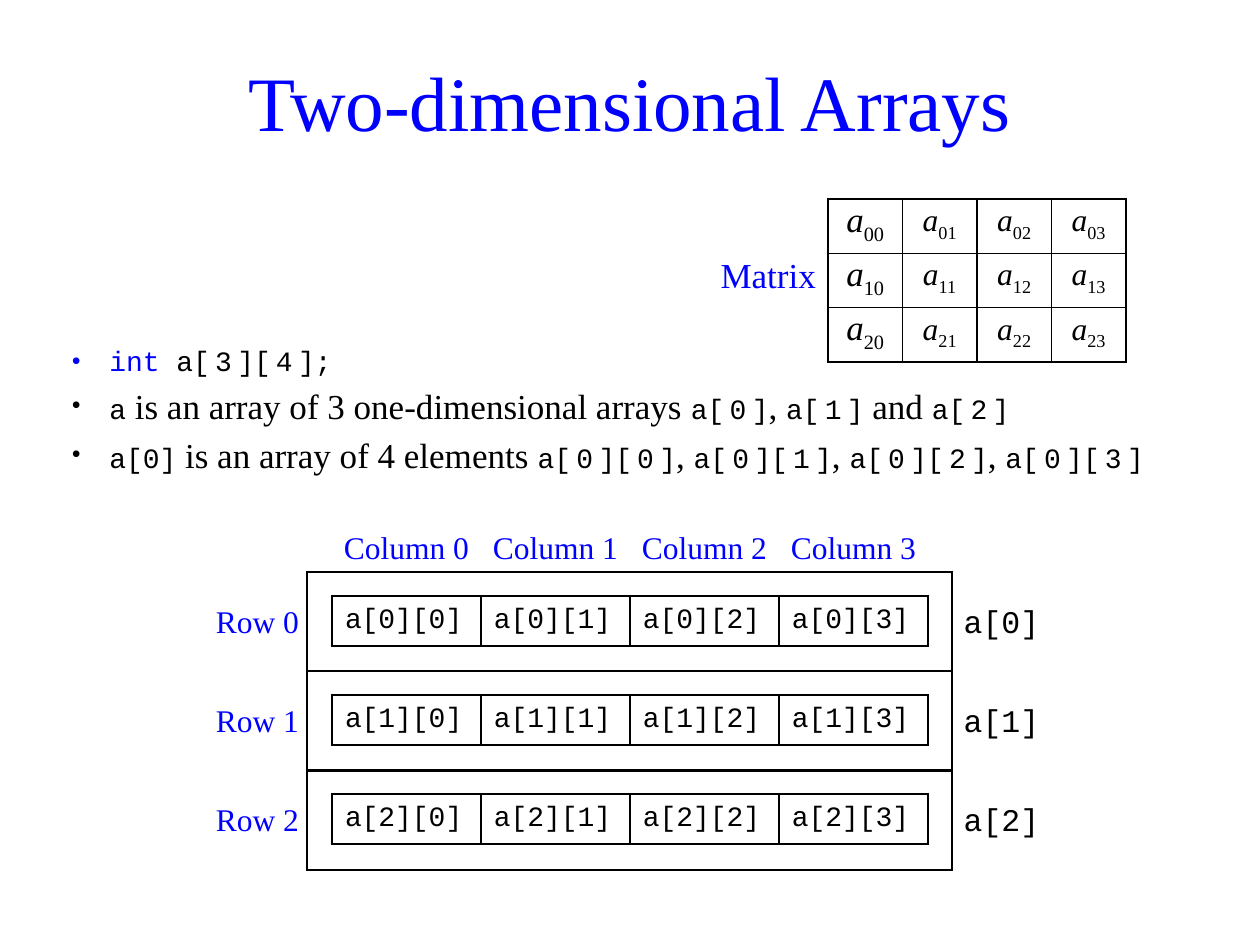
"""Build a slide that explains two-dimensional arrays."""
from lxml import etree
from pptx import Presentation
from pptx.dml.color import RGBColor
from pptx.enum.text import MSO_ANCHOR, PP_ALIGN
from pptx.oxml.ns import qn
from pptx.util import Pt

PX = 914400 / 126
LEFT, MID, RIGHT = PP_ALIGN.LEFT, PP_ALIGN.CENTER, PP_ALIGN.RIGHT
CENTRE, TOP = MSO_ANCHOR.MIDDLE, MSO_ANCHOR.TOP
SERIF, MONO = "Times New Roman", "Courier New"
HUES = {"ink": "000000", "blue": "0000FF"}
ROWS, COLS = 3, 4
PITCH, WIDE, HIGH = 99, 149, 50
GRID_X, GRID_Y = 332, 596


def px(n):
    return round(n * PX)


def run(text, size, font=SERIF, hue="ink", slant=False, **attrs):
    return text, size, font, hue, slant, attrs


def code(name, *nums):
    runs = [run(name, 16, MONO)]
    for num in nums:
        runs += [run(f"[{num}", 16, MONO, spc="300"), run("]", 16, MONO)]
    return runs


def write(para, runs, align=LEFT, space=0):
    para.alignment = align
    if space:
        gap = etree.SubElement(para._p.get_or_add_pPr(), qn("a:spcBef"))
        etree.SubElement(gap, qn("a:spcPct"), val=str(space * 1000))
    for text, size, font, hue, slant, attrs in runs:
        part = para.add_run()
        part.text = text
        part.font.size = Pt(size)
        part.font.name = font
        part.font.italic = slant
        part.font.color.rgb = RGBColor.from_string(HUES[hue])
        for key, val in attrs.items():
            part.font._element.set(key, val)


def inset(area, x, top, base):
    area.margin_left = area.margin_right = px(x)
    area.margin_top, area.margin_bottom = px(top), px(base)


def add_box(slide, x, y, w, h, anchor=CENTRE, wrap=True):
    frame = slide.shapes.add_textbox(px(x), px(y), px(w), px(h)).text_frame
    frame.word_wrap = wrap
    frame.vertical_anchor = anchor
    return frame


def label(slide, x, y, w, h, item, align=MID):
    frame = add_box(slide, x, y, w, h, wrap=False)
    inset(frame, 0, 0, 0)
    write(frame.paragraphs[0], [item], align, 50)


def add_list(slide, x, y, w, h, items):
    frame = add_box(slide, x, y, w, h, TOP)
    frame.margin_top = px(20)
    for i, runs in enumerate(items):
        para = frame.add_paragraph() if i else frame.paragraphs[0]
        write(para, runs, LEFT, 20)
        props = para._p.get_or_add_pPr()
        props.set("marL", str(px(38)))
        props.set("indent", str(px(-38)))
        etree.SubElement(props, qn("a:buFont"), typeface=SERIF)
        etree.SubElement(props, qn("a:buChar"), char="•")


def edge(side, width):
    line = etree.Element(qn(f"a:ln{side}"), w=str(Pt(width)))
    fill = etree.SubElement(line, qn("a:solidFill"))
    etree.SubElement(fill, qn("a:srgbClr"), val=HUES["ink"])
    return line


def add_grid(slide, x, y, w, h, rows, cols, outer, inner):
    table = slide.shapes.add_table(rows, cols, px(x), px(y), px(w), px(h)).table
    table.first_row = table.horz_banding = False
    for r in range(rows):
        for c in range(cols):
            cell = table.cell(r, c)
            cell.fill.background()
            cell.vertical_anchor = CENTRE
            rims = {"L": c == 0, "R": c == cols - 1, "T": r == 0, "B": r == rows - 1}
            for i, (side, rim) in enumerate(rims.items()):
                line = edge(side, outer if rim else inner)
                cell._tc.get_or_add_tcPr().insert(i, line)
    return table


def add_matrix(slide):
    table = add_grid(slide, 828, 199, 298, 163, ROWS, COLS, 1, 1)
    for r in range(ROWS):
        for c in range(COLS):
            cell, size = table.cell(r, c), 18 if c else 20
            inset(cell, 0, 0, 6)
            runs = [run("a", size, slant=True), run(f"{r}{c}", size, baseline="-25000")]
            write(cell.text_frame.paragraphs[0], runs, MID, 50)
    label(slide, 704, 249, 112, HIGH, run("Matrix", 20, hue="blue"), RIGHT)


def add_layout(slide):
    add_grid(slide, 307, 572, 645, 298, ROWS, 1, 1.5, 1.5)
    for c in range(COLS):
        name = run(f"Column {c}", 18, hue="blue")
        label(slide, GRID_X + c * WIDE, 522, WIDE, HIGH, name)
    for r in range(ROWS):
        y = GRID_Y + r * PITCH
        table = add_grid(slide, GRID_X, y, COLS * WIDE, HIGH, 1, COLS, 1.5, 1)
        for c in range(COLS):
            cell = table.cell(0, c)
            inset(cell, 13, 5, 5)
            write(cell.text_frame.paragraphs[0], [run(f"a[{r}][{c}]", 16, MONO)], LEFT, 20)
        label(slide, 208, y, 99, HIGH, run(f"Row {r}", 18, hue="blue"))
        label(slide, 952, y, 99, HIGH, run(f"a[{r}]", 18, MONO))


def main():
    deck = Presentation()
    deck.slide_width, deck.slide_height = px(1260), px(945)
    slide = deck.slides.add_slide(deck.slide_layouts[6])
    title = add_box(slide, 59, 26, 1142, 149)
    write(title.paragraphs[0], [run("Two-dimensional Arrays", 44, hue="blue")], MID)
    comma = [run(", ", 20)]
    parts = code("a", 0, 0)
    for c in range(1, COLS):
        parts += comma + code("a", 0, c)
    add_list(slide, 59, 324, 1142, 174, [
        [run("int", 16, MONO, "blue"), *code(" a", 3, 4), run(";", 16, MONO)],
        [run("a", 16, MONO), run(" is an array of 3 one-dimensional arrays ", 20),
         *code("a", 0), *comma, *code("a", 1), run(" and ", 20), *code("a", 2)],
        [run("a[0]", 16, MONO), run(" is an array of 4 elements ", 20), *parts],
    ])
    add_matrix(slide)
    add_layout(slide)
    deck.save("out.pptx")


if __name__ == "__main__":
    main()
